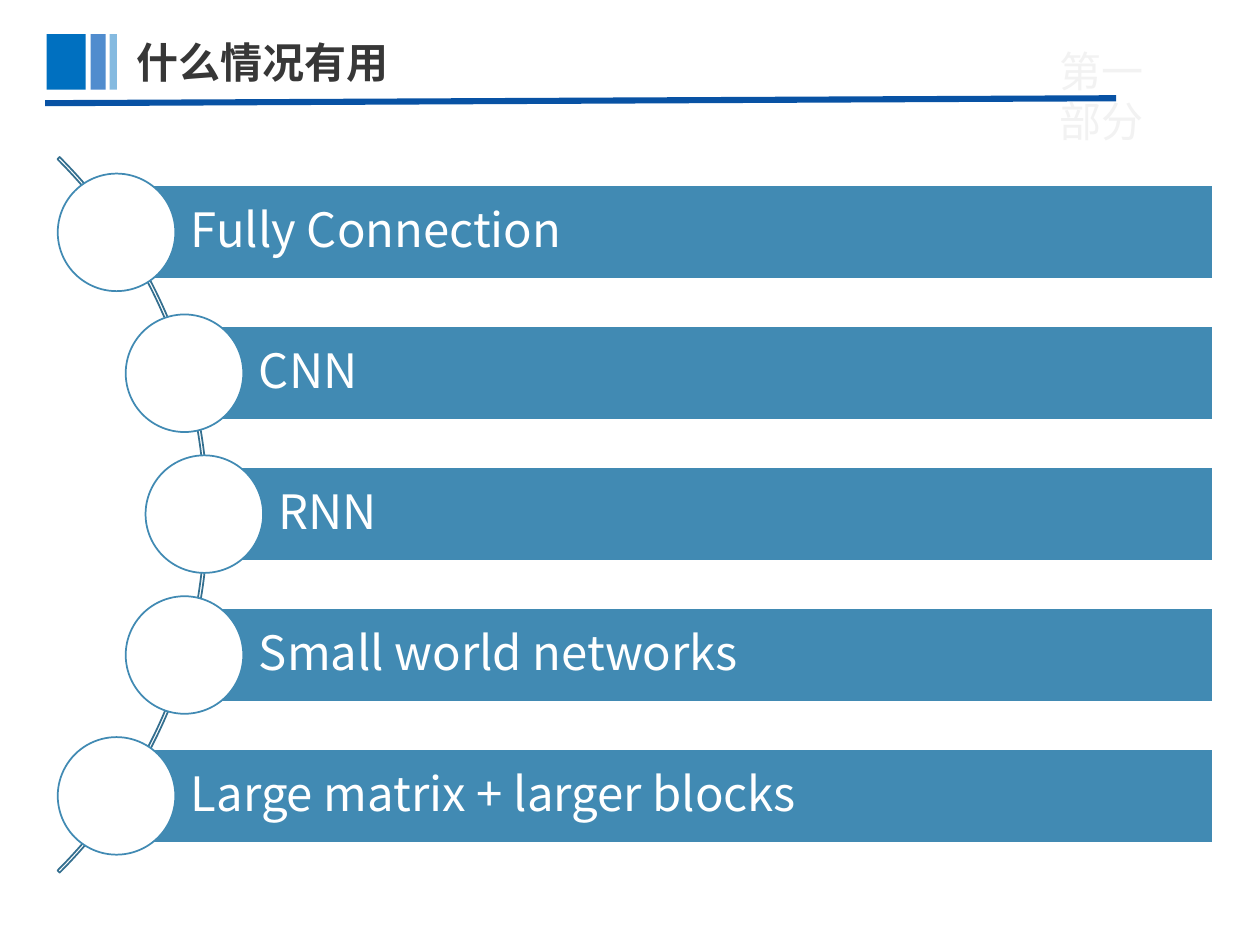
"""Build the slide listing the situations where the method is useful."""
from dataclasses import dataclass
from typing import Optional

from lxml.etree import SubElement
from pptx import Presentation
from pptx.dml.color import RGBColor
from pptx.enum.shapes import MSO_CONNECTOR, MSO_SHAPE
from pptx.enum.text import MSO_ANCHOR, MSO_AUTO_SIZE, PP_ALIGN
from pptx.oxml.ns import qn
from pptx.util import Cm, Pt

FONT = "Noto Sans CJK SC"
WHITE = RGBColor(0xFF, 0xFF, 0xFF)
PALE = RGBColor(0xF2, 0xF2, 0xF2)
DARK = RGBColor(0x37, 0x37, 0x37)
RULE = RGBColor(0x08, 0x52, 0xA4)
BLUE = RGBColor(0x00, 0x70, 0xC0)
MID_BLUE = RGBColor(0x06, 0x5C, 0xBA)
TEAL = RGBColor(0x41, 0x8A, 0xB3)
ARC = RGBColor(0x34, 0x6F, 0x8F)

BAR_TOP, BAR_PITCH, BAR_HEIGHT, BAR_RIGHT = 3.74, 2.84, 1.89, 24.45
DOT_SIZE = 2.37


@dataclass
class Block:
    left: float
    width: float
    color: RGBColor
    opacity: int


@dataclass
class Item:
    text: str
    left: float


BLOCKS = [
    Block(0.94, 0.79, BLUE, 100),
    Block(1.83, 0.3, MID_BLUE, 70),
    Block(2.21, 0.15, BLUE, 48),
]
ITEMS = [
    Item("Fully Connection", 2.35),
    Item("CNN", 3.72),
    Item("RNN", 4.12),
    Item("Small world networks", 3.72),
    Item("Large matrix + larger blocks", 2.35),
]


def add_shape(s, kind: MSO_SHAPE, left: float, top: float, width: float, height: float,
              fill: Optional[RGBColor] = None, line: Optional[RGBColor] = None):
    """Add a flat shape, measured in centimetres."""
    sp = s.shapes.add_shape(kind, Cm(left), Cm(top), Cm(width), Cm(height))
    sp.shadow.inherit = False
    if fill is None:
        sp.fill.background()
    else:
        sp.fill.solid()
        sp.fill.fore_color.rgb = fill
    if line is None:
        sp.line.fill.background()
    else:
        sp.line.color.rgb = line
        sp.line.width = Pt(1)
    return sp


def write(sp, text: str, size: int, color: RGBColor, bold: bool = False) -> None:
    """Write one left-aligned run into a shape."""
    p = sp.text_frame.paragraphs[0]
    p.alignment = PP_ALIGN.LEFT
    r = p.add_run()
    r.text = text
    r.font.size = Pt(size)
    r.font.bold = bold
    r.font.color.rgb = color
    r.font.name = FONT
    SubElement(r.font._element, qn("a:ea"), typeface=FONT)


def format_heading(sp, left: float, top: float, width: float, height: float) -> None:
    """Place a heading box and let it grow with its text."""
    sp.left, sp.top, sp.width, sp.height = Cm(left), Cm(top), Cm(width), Cm(height)
    tf = sp.text_frame
    tf.word_wrap = True
    tf.auto_size = MSO_AUTO_SIZE.SHAPE_TO_FIT_TEXT
    tf.vertical_anchor = MSO_ANCHOR.TOP


def add_block(s, block: Block) -> None:
    """Add one block of the title mark."""
    sp = add_shape(s, MSO_SHAPE.RECTANGLE, block.left, 0.69, block.width, 1.12, block.color)
    if block.opacity < 100:
        color = sp.fill._xPr.find(qn("a:solidFill"))[0]
        SubElement(color, qn("a:alpha"), val=str(block.opacity * 1000))


def add_item(s, item: Item, top: float) -> None:
    """Add one bar with the circle centred on its left edge."""
    bar = add_shape(s, MSO_SHAPE.RECTANGLE, item.left, top,
                    BAR_RIGHT - item.left, BAR_HEIGHT, TEAL, WHITE)
    tf = bar.text_frame
    tf.word_wrap = True
    tf.vertical_anchor = MSO_ANCHOR.MIDDLE
    tf.margin_left = Cm(1.5)
    tf.margin_top = tf.margin_right = tf.margin_bottom = Cm(0.18)
    tf.paragraphs[0].line_spacing = 0.9
    write(bar, item.text, 27, WHITE)
    add_shape(s, MSO_SHAPE.OVAL, item.left - DOT_SIZE / 2,
              top + (BAR_HEIGHT - DOT_SIZE) / 2, DOT_SIZE, DOT_SIZE, WHITE, TEAL)


def main() -> None:
    """Build and save the slide."""
    prs = Presentation()
    prs.slide_width, prs.slide_height = Cm(25.4), Cm(19.05)
    s = prs.slides.add_slide(prs.slide_layouts[5])

    section = s.shapes.add_textbox(0, 0, 0, 0)
    format_heading(section, 21.11, 0.79, 3, 2.31)
    write(section, "第一部分", 24, PALE)

    rule = s.shapes.add_connector(MSO_CONNECTOR.STRAIGHT, Cm(0.91), Cm(2.08), Cm(22.5), Cm(1.98))
    rule.line.color.rgb = RULE
    rule.line.width = Pt(3.5)
    SubElement(rule._element.spPr, qn("a:effectLst"))

    for block in BLOCKS:
        add_block(s, block)

    title = s.shapes.title
    format_heading(title, 2.49, 0.61, 8.53, 1.27)
    write(title, "什么情况有用", 24, DARK, bold=True)

    arc = add_shape(s, MSO_SHAPE.BLOCK_ARC, -16.21, 0.18, 20.4, 20.4, line=ARC)
    for i, value in enumerate((189, 27, 0.003)):
        arc.adjustments[i] = value

    for i, item in enumerate(ITEMS):
        add_item(s, item, BAR_TOP + i * BAR_PITCH)

    prs.save("out.pptx")


if __name__ == "__main__":
    main()
